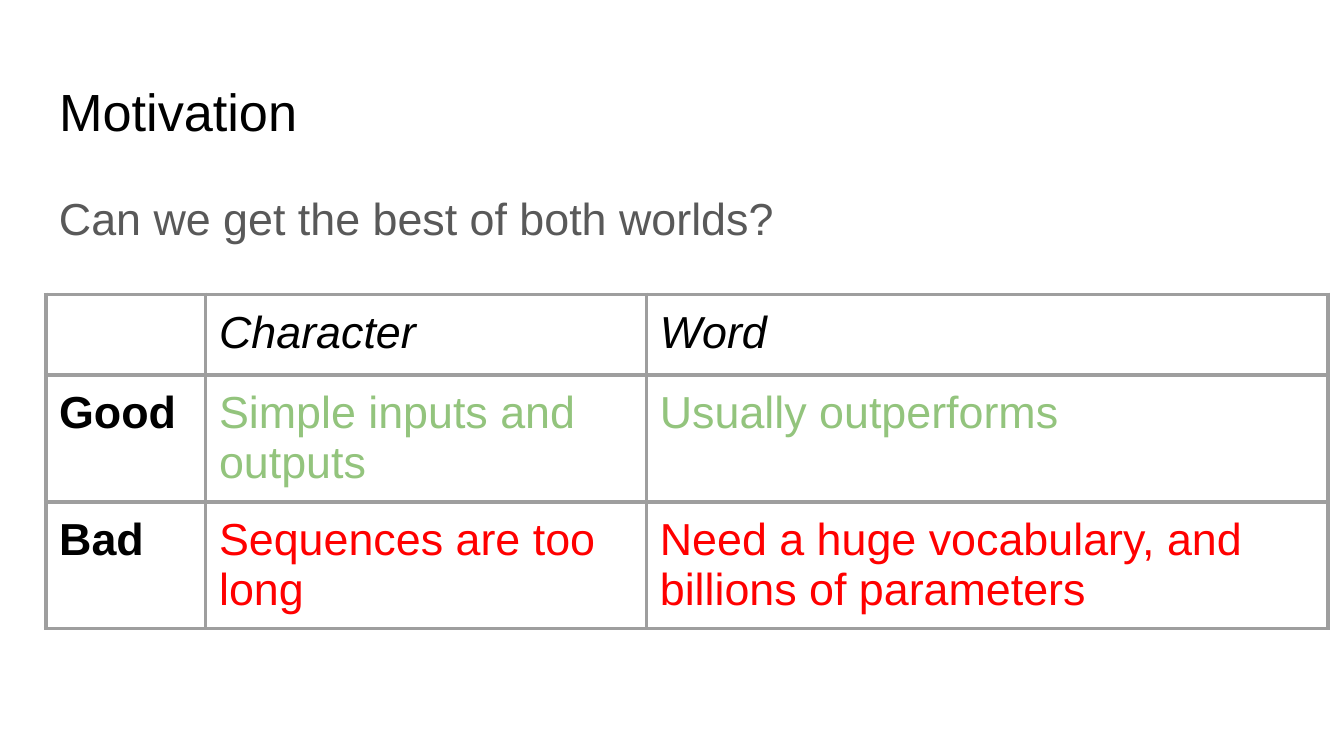
from lxml.etree import SubElement
from pptx import Presentation
from pptx.dml.color import RGBColor
from pptx.enum.text import MSO_ANCHOR, MSO_AUTO_SIZE, PP_ALIGN
from pptx.oxml.ns import qn
from pptx.util import Inches, Pt

COLORS = {
    "title": "000000",
    "question": "595959",
    "good": "93C47D",
    "bad": "FF0000",
    "border": "9E9E9E",
}
FONT = "Arial"
SLIDE_WIDTH = Inches(10)
SLIDE_HEIGHT = SLIDE_WIDTH * 9 // 16
PADDING = Inches(0.1)
BORDER_WIDTH = Pt(2.25)

HEADER = {"color": "title", "italic": True}
LABEL = {"color": "title", "bold": True}
GOOD = {"color": "good"}
BAD = {"color": "bad"}
COMPARISON = [
    [("", HEADER), ("Character", HEADER), ("Word", HEADER)],
    [("Good", LABEL), ("Simple inputs and outputs", GOOD), ("Usually outperforms", GOOD)],
    [("Bad", LABEL), ("Sequences are too long", BAD),
     ("Need a huge vocabulary, and billions of parameters", BAD)],
]
COLUMN_WIDTHS = [1.19, 3.28, 5.07]
ROW_HEIGHTS = [0.6, 0.94, 0.94]


def set_attributes(target, values):
    for name, value in values.items():
        setattr(target, name, value)


def format_font(font, color, size=24, bold=False, italic=False):
    set_attributes(font, {"name": FONT, "size": Pt(size), "bold": bold, "italic": italic})
    font.color.rgb = RGBColor.from_string(COLORS[color])


def pad(holder):
    """Give a text frame or a table cell equal margins and top-aligned text."""
    set_attributes(holder, {
        "margin_left": PADDING, "margin_right": PADDING,
        "margin_top": PADDING, "margin_bottom": PADDING,
        "vertical_anchor": MSO_ANCHOR.TOP,
    })


def fill_text(shape, text, color, size):
    frame = shape.text_frame
    pad(frame)
    set_attributes(frame, {"word_wrap": True, "auto_size": MSO_AUTO_SIZE.NONE, "text": text})
    paragraph = frame.paragraphs[0]
    paragraph.alignment = PP_ALIGN.LEFT
    format_font(paragraph.runs[0].font, color, size)
    return paragraph


def add_title(slide, left, top, width, height):
    title = slide.shapes.title
    set_attributes(title, {"left": left, "top": top, "width": width, "height": height})
    paragraph = fill_text(title, "Motivation", "title", 28)
    paragraph.line_spacing = 1.0


def add_question(slide, left, top, width, height):
    question = slide.shapes.add_textbox(left, top, width, height)
    paragraph = fill_text(question, "Can we get the best of both worlds?", "question", 24)
    set_attributes(paragraph, {"line_spacing": 1.15, "space_after": Pt(16)})


def add_borders(cell):
    properties = cell._tc.get_or_add_tcPr()
    for side in ("a:lnL", "a:lnR", "a:lnT", "a:lnB"):
        line = SubElement(properties, qn(side), w=str(BORDER_WIDTH))
        SubElement(SubElement(line, qn("a:solidFill")), qn("a:srgbClr"), val=COLORS["border"])


def add_comparison(slide, left, top):
    frame = slide.shapes.add_table(
        len(ROW_HEIGHTS), len(COLUMN_WIDTHS), left, top,
        Inches(sum(COLUMN_WIDTHS)), Inches(sum(ROW_HEIGHTS)))
    table = frame.table
    set_attributes(table, {"first_row": False, "horz_banding": False})
    for column, width in zip(table.columns, COLUMN_WIDTHS):
        column.width = Inches(width)
    for row, height, entries in zip(table.rows, ROW_HEIGHTS, COMPARISON):
        row.height = Inches(height)
        for cell, (text, style) in zip(row.cells, entries):
            pad(cell)
            add_borders(cell)
            cell.fill.background()
            if text:
                cell.text = text
                format_font(cell.text_frame.paragraphs[0].runs[0].font, **style)


def main():
    deck = Presentation()
    set_attributes(deck, {"slide_width": SLIDE_WIDTH, "slide_height": SLIDE_HEIGHT})
    slide = deck.slides.add_slide(deck.slide_layouts.get_by_name("Title Only"))
    left, width = Inches(0.34), Inches(9.32)
    add_title(slide, left, Inches(0.49), width, Inches(0.63))
    add_question(slide, left, Inches(1.26), width, Inches(3.74))
    add_comparison(slide, left, Inches(2.19))
    deck.save("out.pptx")


if __name__ == "__main__":
    main()
